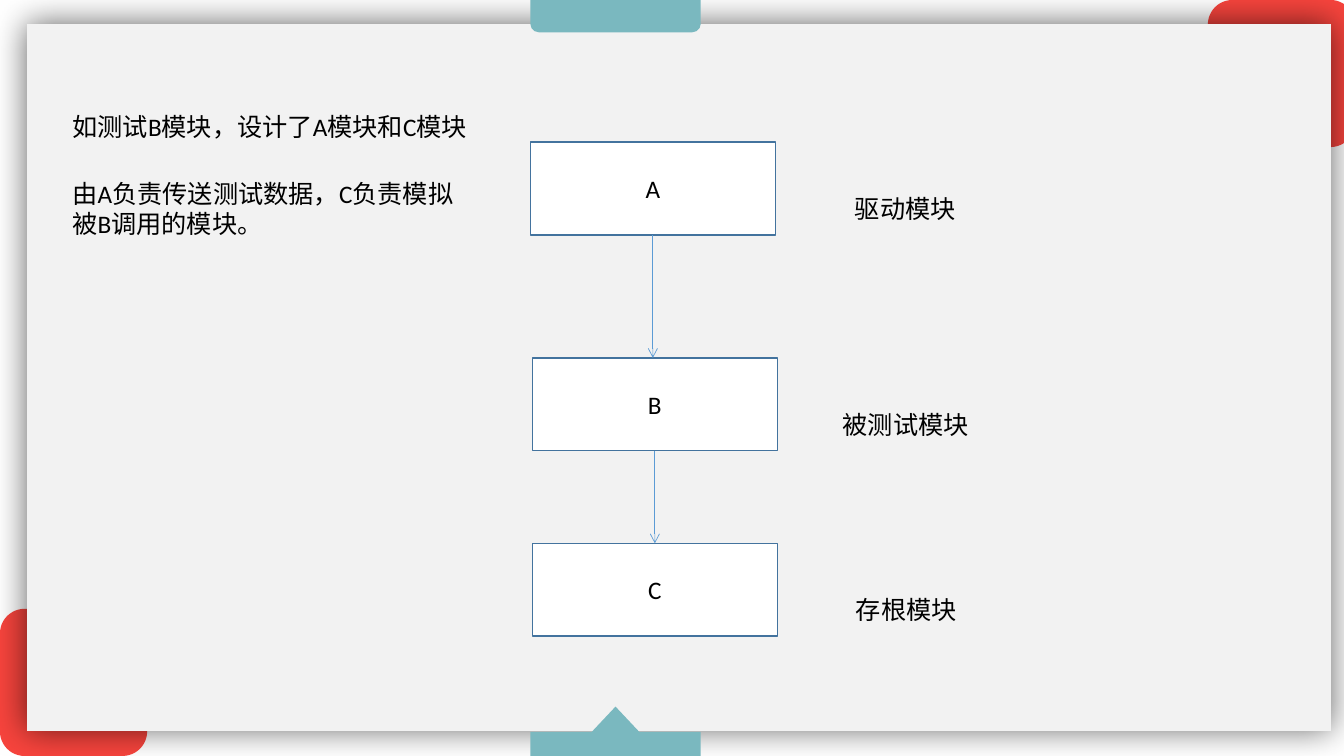
from lxml import etree
from pptx import Presentation
from pptx.dml.color import RGBColor
from pptx.enum.shapes import MSO_CONNECTOR, MSO_SHAPE
from pptx.enum.text import MSO_ANCHOR, PP_ALIGN
from pptx.oxml.ns import qn
from pptx.util import Inches, Pt

RED = RGBColor(0xF7, 0x44, 0x3D)
PANEL_GREY = RGBColor(0xF2, 0xF2, 0xF2)
TEAL = RGBColor(0x7A, 0xB8, 0xBF)
WHITE = RGBColor(0xFF, 0xFF, 0xFF)
BLACK = RGBColor(0x00, 0x00, 0x00)
BOX_LINE = RGBColor(0x43, 0x73, 0x9E)
ARROW_BLUE = RGBColor(0x5B, 0x9B, 0xD5)

RECTANGLE = MSO_SHAPE.RECTANGLE
ROUNDED = MSO_SHAPE.ROUNDED_RECTANGLE
TAB = MSO_SHAPE.ROUND_2_SAME_RECTANGLE
TRIANGLE = MSO_SHAPE.ISOSCELES_TRIANGLE
STRAIGHT = MSO_CONNECTOR.STRAIGHT
CENTER = PP_ALIGN.CENTER
LEFT = PP_ALIGN.LEFT
MIDDLE = MSO_ANCHOR.MIDDLE

FONT = "Calibri"
BOX_WIDTH, BOX_HEIGHT = 2.43, 0.92


def add_filled(slide, kind, box, color):
    shape = slide.shapes.add_shape(kind, *(Inches(value) for value in box))
    shape.shadow.inherit = False
    shape.fill.solid()
    shape.fill.fore_color.rgb = color
    shape.line.fill.background()
    return shape


def write(text_frame, text, alignment=LEFT):
    paragraph = text_frame.paragraphs[0]
    paragraph.alignment = alignment
    run = paragraph.add_run()
    run.text = text
    run.font.name = FONT
    run.font.size = Pt(18)
    run.font.color.rgb = BLACK


def add_label(slide, box, text, wrap):
    label = slide.shapes.add_textbox(*(Inches(value) for value in box))
    label.text_frame.word_wrap = wrap
    write(label.text_frame, text)


def add_soft_shadow(shape):
    effects = shape._element.spPr.find(qn("a:effectLst"))
    shadow = etree.SubElement(effects, qn("a:outerShdw"), blurRad=str(Pt(24)),
                              dist="0", dir="0", algn="ctr", rotWithShape="0")
    color = etree.SubElement(shadow, qn("a:srgbClr"), val=str(BLACK))
    etree.SubElement(color, qn("a:alpha"), val="60000")


def add_frame(slide, left, top, width, height):
    # Red corners behind the grey panel
    corner = 1.46
    add_filled(slide, ROUNDED, (left, top + height - corner, corner, corner), RED)
    add_filled(slide, ROUNDED, (left + 11.98, top, corner, corner), RED)
    panel = add_filled(slide, RECTANGLE,
                       (left + 0.27, top + 0.24, 12.93, 7.01), PANEL_GREY)
    add_soft_shadow(panel)

    # Teal tabs at the top and bottom edges
    tab_left, tab_width = left + 5.26, 1.69
    top_tab = add_filled(slide, TAB, (tab_left, top - 0.07, tab_width, 0.39), TEAL)
    top_tab.rotation = 180
    top_tab.adjustments[0] = 0.213
    top_tab.adjustments[1] = 0
    base = top + height - 0.24
    add_filled(slide, RECTANGLE, (tab_left, base, tab_width, 0.24), TEAL)
    add_filled(slide, TRIANGLE, (tab_left + 0.61, base - 0.25, 0.47, 0.25), TEAL)


def add_arrow(slide, x, top, bottom):
    arrow = slide.shapes.add_connector(
        STRAIGHT, Inches(x), Inches(top), Inches(x), Inches(bottom))
    arrow.line.color.rgb = ARROW_BLUE
    arrow.line.width = Pt(0.5)
    etree.SubElement(arrow.line._get_or_add_ln(), qn("a:tailEnd"), type="arrow")
    etree.SubElement(arrow._element.spPr, qn("a:effectLst"))


def add_module_chain(slide, left, top):
    # Name, box offset, label offset, label width, label
    modules = [
        ("A", 0, 0, 3.12, 1.21, "驱动模块"),
        ("B", 0.02, 2.14, 3.00, 1.46, "被测试模块"),
        ("C", 0.02, 3.98, 3.13, 1.21, "存根模块"),
    ]
    for name, shift, drop, label_shift, label_width, label in modules:
        box_top = top + drop
        module = add_filled(slide, RECTANGLE,
                            (left + shift, box_top, BOX_WIDTH, BOX_HEIGHT), WHITE)
        module.line.color.rgb = BOX_LINE
        module.line.width = Pt(1)
        module.text_frame.vertical_anchor = MIDDLE
        write(module.text_frame, name, CENTER)
        add_label(slide, (left + label_shift, box_top + 0.46, label_width, 0.4),
                  label, False)

    # Each arrow leaves the middle of the upper module
    for upper, lower in zip(modules, modules[1:]):
        add_arrow(slide, left + upper[1] + BOX_WIDTH / 2,
                  top + upper[2] + BOX_HEIGHT, top + lower[2])


def add_explanation(slide, left, top, width):
    add_label(slide, (left, top, width, 0.71),
              "如测试B模块，设计了A模块和C模块", True)
    add_label(slide, (left, top + 0.67, width, 0.71),
              "由A负责传送测试数据，C负责模拟被B调用的模块。", True)


def main():
    presentation = Presentation()
    presentation.slide_width = Inches(13.33)
    presentation.slide_height = Inches(7.5)
    slide = presentation.slides.add_slide(presentation.slide_layouts[6])
    add_frame(slide, 0, 0, 13.33, 7.5)
    add_module_chain(slide, 5.26, 1.41)
    add_explanation(slide, 0.62, 1.05, 4.15)
    presentation.save("out.pptx")


if __name__ == "__main__":
    main()
